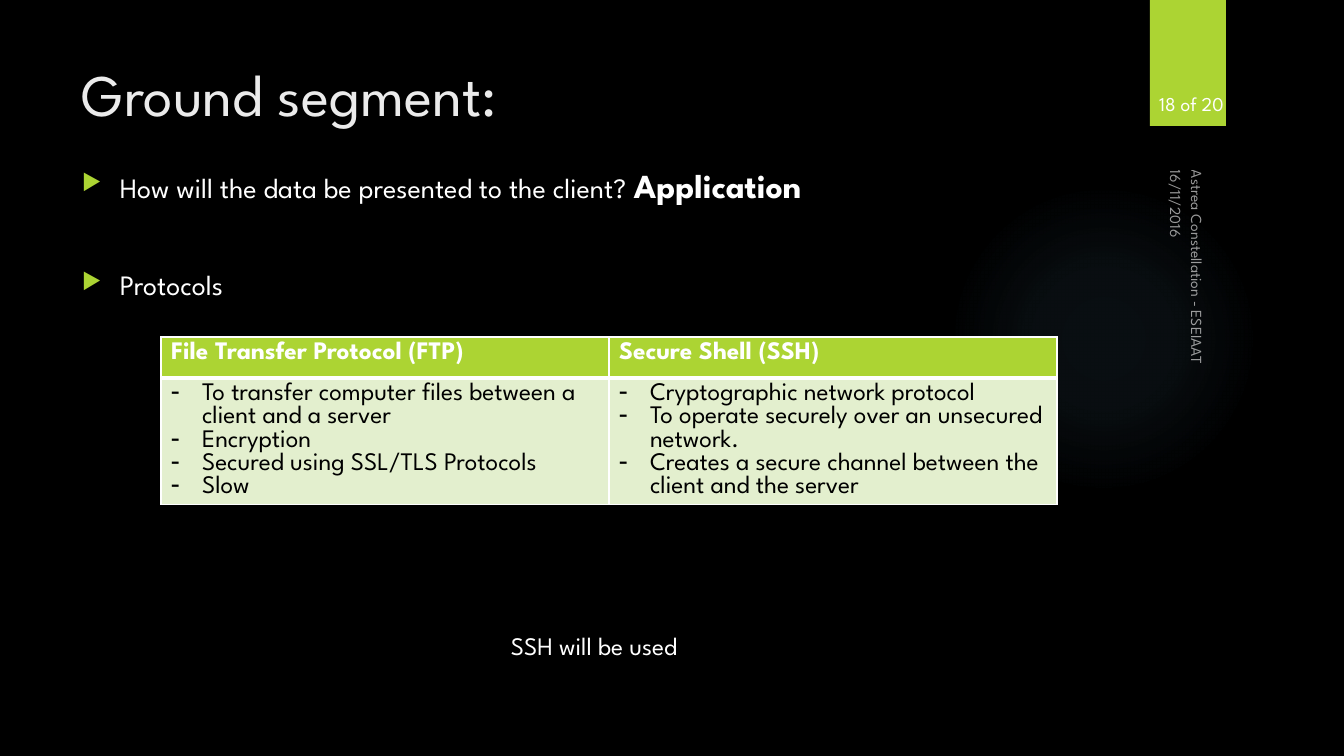
from lxml import etree
from pptx import Presentation
from pptx.dml.color import RGBColor
from pptx.enum.shapes import MSO_SHAPE as Shape
from pptx.enum.text import MSO_ANCHOR as Anchor, PP_ALIGN as Align
from pptx.oxml import parse_xml
from pptx.oxml.ns import nsdecls, qn
from pptx.util import Pt

# Content
TITLE = "Ground segment:"
BULLETS = [  # runs as (text, size, bold), then space before
    ([("How will the data be presented to the client? ", 20, False),
      ("Application", 24, True)], 0),
    ([("Protocols", 20, False)], 43),
]
PROTOCOLS = {
    "File Transfer Protocol (FTP)": [
        "To transfer computer files between a client and a server",
        "Encryption",
        "Secured using SSL/TLS Protocols",
        "Slow",
    ],
    "Secure Shell (SSH)": [
        "Cryptographic network protocol",
        "To operate securely over an unsecured network.",
        "Creates a secure channel between the client and the server",
    ],
}
CHOICE = "SSH will be used"
DATE = "16/11/2016"
FOOTER = "Astrea Constellation - ESEIAAT"
PAGE_NUMBER = "18 of 20"

# Look
FONT = "League Spartan"
BLACK = RGBColor(0x00, 0x00, 0x00)
WHITE = RGBColor(0xFF, 0xFF, 0xFF)
TITLE_GREY = RGBColor(0xEB, 0xEB, 0xEB)
GREEN = RGBColor(0xAC, 0xD4, 0x33)
PALE_GREEN = RGBColor(0xE3, 0xEF, 0xCE)
GLOW = RGBColor(0x7A, 0xC4, 0xF0)
GLOW_STOPS = [(0, 7), (36, 6), (69, 0)]  # position %, opacity %
TEXT_PITCH, TABLE_PITCH = 1.24, 0.92  # line height per point of type
COLUMN_WIDTH, ROW_HEIGHTS = 448, (41, 126)


def px(*lengths):
    return [round(length * 914400 / 100.8) for length in lengths]


def style_run(span, size, color, bold=False):
    span.font.name, span.font.size, span.font.bold = FONT, Pt(size), bold
    span.font.color.rgb = color


def style_para(para, size, color, bold=False, pitch=TEXT_PITCH):
    para.line_spacing = Pt(round(size * pitch, 1))
    for span in para.runs:
        style_run(span, size, color, bold)


def add_bullet(para, char, indent, color=None, percent=None):
    props = para._p.get_or_add_pPr()
    width = px(indent)[0]
    props.set("marL", str(width))
    props.set("indent", str(-width))
    if color is not None:
        tint = etree.SubElement(props, qn("a:buClr"))
        etree.SubElement(tint, qn("a:srgbClr"), val=str(color))
    if percent:
        etree.SubElement(props, qn("a:buSzPct"), val=str(percent * 1000))
    etree.SubElement(props, qn("a:buChar"), char=char)


def add_text(page, place, text, size, color=WHITE, anchor=Anchor.TOP,
             align=Align.LEFT, rotation=0, opacity=None):
    box = page.shapes.add_textbox(*px(*place))
    box.rotation = rotation
    frame = box.text_frame
    frame.word_wrap = True
    frame.vertical_anchor = anchor
    frame.text = text
    para = frame.paragraphs[0]
    para.alignment = align
    style_para(para, size, color)
    if opacity:
        for tint in para._p.iter(qn("a:srgbClr")):
            etree.SubElement(tint, qn("a:alpha"), val=str(opacity * 1000))


def add_block(page, kind, place):
    block = page.shapes.add_shape(kind, *px(*place))
    block.shadow.inherit = False
    block.line.fill.background()
    return block


def add_backdrop(page):
    page.background.fill.solid()
    page.background.fill.fore_color.rgb = BLACK
    glow = add_block(page, Shape.OVAL, (949, 184, 310, 310))
    stops = "".join(
        f'<a:gs pos="{spot * 1000}"><a:srgbClr val="{GLOW}">'
        f'<a:alpha val="{opacity * 1000}"/></a:srgbClr></a:gs>'
        for spot, opacity in GLOW_STOPS)
    gradient = parse_xml(
        f'<a:gradFill {nsdecls("a")}><a:gsLst>{stops}</a:gsLst><a:path path="circle">'
        '<a:fillToRect l="50000" t="50000" r="50000" b="50000"/></a:path></a:gradFill>')
    glow._element.spPr.find(qn("a:prstGeom")).addnext(gradient)
    tab = add_block(page, Shape.RECTANGLE, (1150, 0, 76, 126))
    tab.fill.solid()
    tab.fill.fore_color.rgb = GREEN


def add_bullets(page):
    frame = page.shapes.add_textbox(*px(72, 159, 986, 463)).text_frame
    frame.word_wrap = True
    for index, (runs, gap) in enumerate(BULLETS):
        para = frame.add_paragraph() if index else frame.paragraphs[0]
        para.space_before = Pt(gap)
        para.line_spacing = Pt(round(max(run[1] for run in runs) * TEXT_PITCH, 1))
        for text, size, bold in runs:
            span = para.add_run()
            span.text = text
            style_run(span, size, WHITE, bold)
        add_bullet(para, "▶", 38, GREEN, 80)


def fill_cell(cell, lines, fill, color, is_header):
    cell.fill.solid()
    cell.fill.fore_color.rgb = fill
    cell.text_frame.text = "\n".join(lines)
    for para in cell.text_frame.paragraphs:
        style_para(para, 18, color, is_header, TABLE_PITCH)
        if not is_header:
            add_bullet(para, "-", 31)
    # Borders come before the fill
    props = cell._tc.get_or_add_tcPr()
    widths = {"lnL": 1, "lnR": 1, "lnT": 1 if is_header else 3,
              "lnB": 3 if is_header else 1}
    for index, (side, width) in enumerate(widths.items()):
        props.insert(index, parse_xml(
            f'<a:{side} {nsdecls("a")} w="{Pt(width)}"><a:solidFill>'
            f'<a:srgbClr val="{WHITE}"/></a:solidFill></a:{side}>'))


def add_protocols(page):
    count = len(PROTOCOLS)
    place = px(161, 337, count * COLUMN_WIDTH, sum(ROW_HEIGHTS))
    table = page.shapes.add_table(2, count, *place).table
    for row, height in zip(table.rows, px(*ROW_HEIGHTS)):
        row.height = height
    for index, (name, facts) in enumerate(PROTOCOLS.items()):
        table.columns[index].width = px(COLUMN_WIDTH)[0]
        fill_cell(table.cell(0, index), [name], GREEN, WHITE, True)
        fill_cell(table.cell(1, index), facts, PALE_GREEN, BLACK, False)


def main():
    deck = Presentation()
    deck.slide_width, deck.slide_height = px(1344, 756)
    page = deck.slides.add_slide(deck.slide_layouts[6])
    add_backdrop(page)
    add_text(page, (72, 50, 1037, 154), TITLE, 42, TITLE_GREY)
    add_bullets(page)
    # Side labels
    add_text(page, (1120, 198, 109, 33), DATE, 11, rotation=90, opacity=60)
    add_text(page, (987, 356, 425, 33), FOOTER, 11, anchor=Anchor.BOTTOM,
             rotation=90, opacity=60)
    add_protocols(page)
    add_text(page, (501, 624, 217, 40), CHOICE, 18)
    add_text(page, (1139, 35, 105, 85), PAGE_NUMBER, 14,
             anchor=Anchor.BOTTOM, align=Align.CENTER)
    deck.save("out.pptx")


if __name__ == "__main__":
    main()
